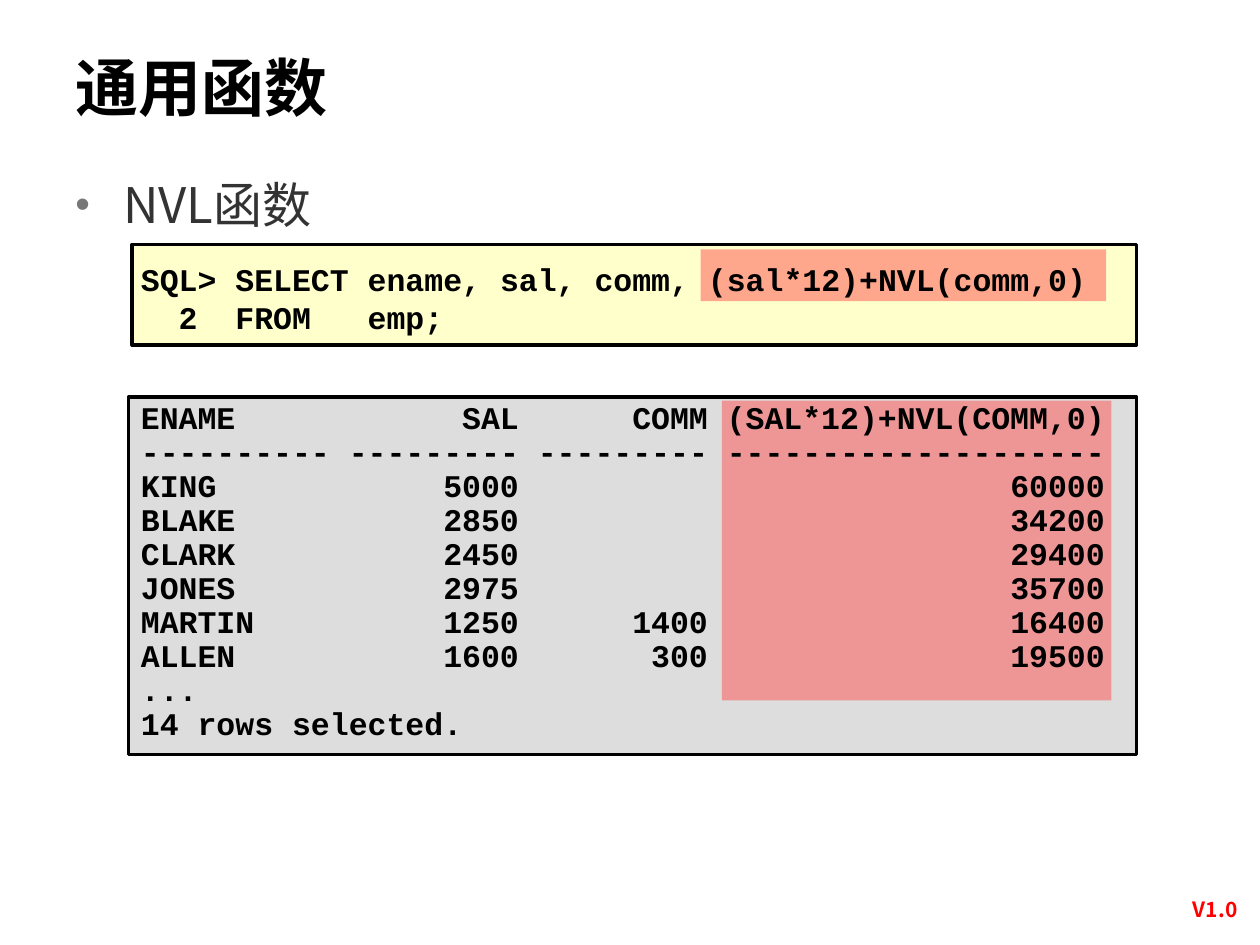
from dataclasses import dataclass

from lxml import etree
from pptx import Presentation
from pptx.dml.color import RGBColor
from pptx.enum.shapes import MSO_SHAPE
from pptx.enum.text import MSO_ANCHOR, PP_ALIGN
from pptx.oxml.ns import qn
from pptx.util import Emu, Inches, Pt

RECTANGLE = MSO_SHAPE.RECTANGLE
TOP, MIDDLE = MSO_ANCHOR.TOP, MSO_ANCHOR.MIDDLE
LEFT, CENTER = PP_ALIGN.LEFT, PP_ALIGN.CENTER

COLORS = {
    "black": "000000",
    "body": "333333",
    "bullet": "777777",
    "version": "FF0000",
    "query": "FFFFCC",
    "result": "DDDDDD",
    "highlight": "FF5050",
}
SANS = "Noto Sans CJK SC"
MONO = "Courier New"
TITLE_ONLY = 5
GRID_COLUMNS, GRID_ROWS = 100, 75
CHARACTER = 0.15


@dataclass(frozen=True)
class Box:
    column: float
    row: float
    columns: float
    rows: float


@dataclass(frozen=True)
class Style:
    font: str
    size: float
    color: str
    bold: bool = True


@dataclass(frozen=True)
class Panel:
    box: Box
    fill: str
    outlined: bool = True
    opacity: int = 100


@dataclass(frozen=True)
class Tab:
    character: int
    align: str


CODE = Style(MONO, 18, "black")
PANELS = [
    Panel(Box(10.5, 19.4, 79.7, 8), "query"),
    Panel(Box(10.2, 31.5, 80, 28.4), "result"),
    Panel(Box(55.6, 19.8, 32.2, 4.1), "highlight", False, 50),
    Panel(Box(57.3, 31.8, 30.9, 23.8), "highlight", False, 50),
]
QUERY = [
    "SQL> SELECT ename, sal, comm, (sal*12)+NVL(comm,0)",
    "\t2\tFROM\temp;",
]
QUERY_TABS = [Tab(2, "l"), Tab(5, "l"), Tab(12, "l")]
RECORDS = [
    ("ENAME", "SAL", "COMM", "(SAL*12)+NVL(COMM,0)"),
    (" ".join("-" * width for width in (10, 9, 9, 20)),),
    ("KING", "5000", "", "60000"),
    ("BLAKE", "2850", "", "34200"),
    ("CLARK", "2450", "", "29400"),
    ("JONES", "2975", "", "35700"),
    ("MARTIN", "1250", "1400", "16400"),
    ("ALLEN", "1600", "300", "19500"),
    ("...",),
    ("14 rows selected.",),
]
RESULT_TABS = [Tab(20, "r"), Tab(30, "r"), Tab(51, "r")]


def place(shape, box: Box, presentation) -> None:
    cell_width = presentation.slide_width / GRID_COLUMNS
    cell_height = presentation.slide_height / GRID_ROWS
    shape.left = Emu(round(box.column * cell_width))
    shape.top = Emu(round(box.row * cell_height))
    shape.width = Emu(round(box.columns * cell_width))
    shape.height = Emu(round(box.rows * cell_height))


def add_run(paragraph, text: str, style: Style) -> None:
    run = paragraph.add_run()
    run.text = text
    run.font.name = style.font
    run.font.size = Pt(style.size)
    run.font.bold = style.bold
    run.font.color.rgb = RGBColor.from_string(COLORS[style.color])
    east_asian = etree.SubElement(run.font._element, qn("a:ea"))
    east_asian.set("typeface", style.font)


def add_tabs(paragraph, tabs: list[Tab]) -> None:
    tab_list = etree.SubElement(paragraph._p.get_or_add_pPr(), qn("a:tabLst"))
    for tab in tabs:
        stop = etree.SubElement(tab_list, qn("a:tab"))
        stop.set("pos", str(Inches(tab.character * CHARACTER)))
        stop.set("algn", tab.align)


def add_bullet(paragraph) -> None:
    properties = paragraph._p.get_or_add_pPr()
    properties.set("marL", str(Inches(0.38)))
    properties.set("indent", str(-Inches(0.38)))
    color = etree.SubElement(properties, qn("a:buClr"))
    etree.SubElement(color, qn("a:srgbClr")).set("val", COLORS["bullet"])
    etree.SubElement(properties, qn("a:buSzPct")).set("val", "85000")
    etree.SubElement(properties, qn("a:buFont")).set("typeface", "Arial")
    etree.SubElement(properties, qn("a:buChar")).set("char", "•")


def add_panel(slide, panel: Panel, presentation) -> None:
    shape = slide.shapes.add_shape(RECTANGLE, 0, 0, 0, 0)
    place(shape, panel.box, presentation)
    shape.shadow.inherit = False
    shape.fill.solid()
    shape.fill.fore_color.rgb = RGBColor.from_string(COLORS[panel.fill])
    if panel.opacity < 100:
        color = shape._element.spPr.find(f".//{qn('a:srgbClr')}")
        alpha = etree.SubElement(color, qn("a:alpha"))
        alpha.set("val", str(panel.opacity * 1000))
    if panel.outlined:
        shape.line.color.rgb = RGBColor.from_string(COLORS["black"])
        shape.line.width = Pt(2)
    else:
        shape.line.fill.background()


def write_lines(shape, lines: list[str], style: Style, anchor=TOP,
                align=LEFT, spacing: float = 1.0, wrap: bool = True) -> list:
    frame = shape.text_frame
    frame.word_wrap = wrap
    frame.vertical_anchor = anchor
    paragraphs = []
    for index, line in enumerate(lines):
        paragraph = frame.add_paragraph() if index else frame.paragraphs[0]
        paragraph.alignment = align
        paragraph.line_spacing = spacing
        add_run(paragraph, line, style)
        paragraphs.append(paragraph)
    return paragraphs


def add_text(slide, box: Box, presentation, lines: list[str], style: Style,
             **layout) -> list:
    shape = slide.shapes.add_textbox(0, 0, 0, 0)
    place(shape, box, presentation)
    return write_lines(shape, lines, style, **layout)


def main() -> None:
    presentation = Presentation()
    presentation.slide_width = Inches(10)
    presentation.slide_height = Inches(7.5)
    slide = presentation.slides.add_slide(presentation.slide_layouts[TITLE_ONLY])

    title = slide.shapes.title
    place(title, Box(5, 3, 79.7, 7.7), presentation)
    write_lines(title, ["通用函数"], Style(SANS, 36, "black"), anchor=MIDDLE)

    add_text(slide, Box(92.5, 70.7, 7.9, 3), presentation, ["V1.0"],
             Style(SANS, 12, "version"), align=CENTER)
    for panel in PANELS:
        add_panel(slide, panel, presentation)

    query = add_text(slide, Box(10.2, 18.2, 80, 10.9), presentation, QUERY,
                     CODE, anchor=MIDDLE)
    add_tabs(query[1], QUERY_TABS)

    result = add_text(slide, Box(10.2, 31.4, 79.7, 28.1), presentation,
                      ["\t".join(record) for record in RECORDS], CODE, spacing=0.9)
    for paragraph, record in zip(result, RECORDS):
        if len(record) > 1:
            add_tabs(paragraph, RESULT_TABS)

    topic = add_text(slide, Box(5, 11.5, 89.1, 8), presentation, ["NVL函数"],
                     Style(SANS, 28, "body", False), spacing=1.4)
    add_bullet(topic[0])

    presentation.save("out.pptx")


if __name__ == "__main__":
    main()
